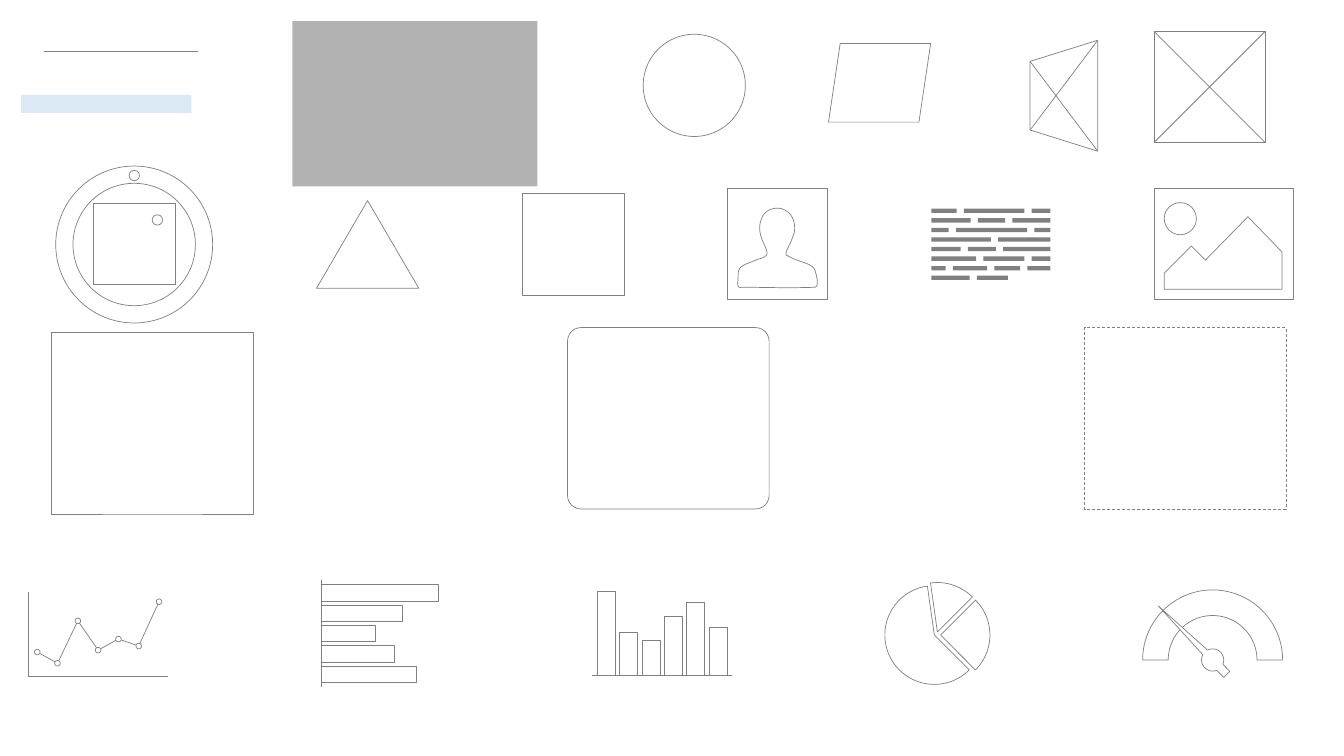
import math
from dataclasses import dataclass

import lxml.etree
import pptx
import pptx.dml.color
import pptx.enum.dml
import pptx.enum.shapes
import pptx.oxml.ns
import pptx.util

Pt = pptx.util.Pt
Kind = pptx.enum.shapes.MSO_SHAPE
qn = pptx.oxml.ns.qn


@dataclass(frozen=True)
class Theme:
    ink: str = "808080"
    paper: str = "FFFFFF"
    tint: str = "5B9BD5"
    line: float = 0.5


THEME = Theme()


# Element helpers
def color(code):
    return pptx.dml.color.RGBColor.from_string(code)


def paint(shape, fill=THEME.paper, line=THEME.ink, alpha=None, dash=False):
    shape.shadow.inherit = False
    if fill:
        shape.fill.solid()
        shape.fill.fore_color.rgb = color(fill)
    else:
        shape.fill.background()
    if alpha:
        tag = shape.element.spPr.find(qn("a:solidFill")).find(qn("a:srgbClr"))
        lxml.etree.SubElement(tag, qn("a:alpha"), val=str(alpha * 1000))
    if line:
        shape.line.color.rgb = color(line)
        shape.line.width = Pt(THEME.line)
    else:
        shape.line.fill.background()
    if dash:
        shape.line.dash_style = pptx.enum.dml.MSO_LINE.DASH


def form(on, kind, left, top, width, height, adj=None, **style):
    shape = on.add_shape(kind, Pt(left), Pt(top), Pt(width), Pt(height))
    if adj is not None:
        shape.adjustments[0] = adj
    paint(shape, **style)


def rule(on, x1, y1, x2, y2):
    line = on.add_connector(pptx.enum.shapes.MSO_CONNECTOR.STRAIGHT,
                            Pt(x1), Pt(y1), Pt(x2), Pt(y2))
    line.line.color.rgb = color(THEME.ink)
    line.line.width = Pt(THEME.line)
    lxml.etree.SubElement(line.element.spPr, qn("a:effectLst"))


def free(on, *paths, close=True, **style):
    pen = None
    for path in paths:
        start, *rest = [(Pt(x), Pt(y)) for x, y in path]
        if pen is None:
            pen = on.build_freeform(*start)
        else:
            pen.move_to(*start)
        pen.add_line_segments(rest, close=close)
    paint(pen.convert_to_shape(), **style)


def arc(x, y, radius, start, end):
    count = math.ceil(abs(end - start) / 3)
    turns = [math.radians(start + (end - start) * i / count) for i in range(count + 1)]
    return [(x + radius * math.cos(t), y + radius * math.sin(t)) for t in turns]


def curve(start, bends, steps=12):
    points = [start]
    for x1, y1, x2, y2, x3, y3 in bends:
        x0, y0 = points[-1]
        for i in range(1, steps + 1):
            t = i / steps
            u = 1 - t
            a, b, c, d = u ** 3, 3 * u * u * t, 3 * u * t * t, t ** 3
            points.append((a * x0 + b * x1 + c * x2 + d * x3,
                           a * y0 + b * y1 + c * y2 + d * y3))
    return points


# Icons
def cross(on, corners):
    free(on, corners)
    for a, b in zip(corners[:2], corners[2:]):
        rule(on, *a, *b)


def photo(on):
    form(on, Kind.RECTANGLE, 824.4, 134.6, 99.4, 79.2)
    free(on, [(831.6, 195.1), (851, 175.7), (861.1, 185.8), (891.4, 154.8),
              (915.8, 180), (915.8, 206.6), (831.6, 206.6)])
    form(on, Kind.OVAL, 831.6, 144.7, 23, 23)


def prose(on):
    left, top, width, step, thick, gap = 665.3, 149, 84.9, 6.84, 3.1, 5.2
    rows = [(18, 66.4), (28.1, 52.6), (12.4, 68.4), (42.5,), (20.9, 46.1),
            (31.9, 66.4), (10.2, 39.8, 63.4), (27.4,)]
    for i, cuts in enumerate(rows):
        end = 54.7 if i == len(rows) - 1 else width
        y = top + i * step
        spans = zip([0] + [cut + gap for cut in cuts], [*cuts, end])
        free(on, *[[(left + a, y), (left + a, y + thick),
                    (left + b, y + thick), (left + b, y)] for a, b in spans],
             fill=THEME.ink, line=None)


def person(on):
    form(on, Kind.RECTANGLE, 519.8, 134.6, 71.3, 79.2)
    free(on, curve((581.8, 192.2), [
        (579.6, 188.6, 574.6, 187.9, 569.5, 185.8),
        (566.6, 185, 564.5, 183.6, 561.6, 182.2),
        (560.9, 179.3, 563.8, 176.4, 566.6, 168.5),
        (568.8, 163.4, 568.1, 153.4, 560.2, 149.8),
        (554.4, 146.9, 546.5, 149.8, 544.3, 155.5),
        (539.3, 166.3, 547.2, 175, 547.9, 180),
        (548.6, 184.3, 542.9, 184.3, 540, 185.8),
        (536.4, 187.2, 532.1, 188.6, 529.2, 190.8),
        (526.3, 193.7, 527.8, 197.3, 527, 201.6),
        (527, 203.8, 527, 205.9, 529.9, 205.2),
        (547.2, 205.2, 562.3, 205.9, 581.8, 205.2),
        (586.1, 205.2, 582.5, 193.7, 581.8, 192.2)]))


def dial(on):
    form(on, Kind.DONUT, 39.8, 118.6, 112.1, 112.1, adj=0.11)
    form(on, Kind.RECTANGLE, 67, 145.4, 58.3, 57.9)
    for x, y in [(92.2, 121.7), (108.7, 153.4)]:
        form(on, Kind.OVAL, x, y, 7.4, 7.4, fill=None)


def bars(on):
    for i, width in enumerate([84.2, 58.3, 38.9, 52.6, 68.4]):
        form(on, Kind.RECTANGLE, 229.3, 417.5 + i * 14.6, width, 11.8)
    rule(on, 229.3, 414, 229.3, 491)


def columns(on):
    base = 482.5
    rule(on, 422.6, base, 522.7, base)
    for i, tall in enumerate([59.8, 30.6, 25.2, 42.5, 52.3, 34.6]):
        form(on, Kind.RECTANGLE, 426.5 + i * 16, base - tall, 12.9, tall)


def gauge(on):
    x, y = 866.2, 471.4
    free(on, arc(x, y, 50, 180, 360) + arc(x, y, 31.7, 360, 180))
    free(on, [(827.3, 432.7)] + arc(x, y, 7.9, 208, 69)
         + [(874.1, 483.8), (878.4, 479.5)] + arc(x, y, 7.9, 23, -117))


def trend(on):
    free(on, [(120.2, 483.1), (20.2, 483.1), (20.2, 422.6)], close=False, fill=None)
    tops = [465.8, 473.8, 443.5, 464.4, 456.5, 461.5, 429.8]
    points = [(26.6 + i * 14.5, y) for i, y in enumerate(tops)]
    free(on, points, close=False, fill=None)
    for x, y in points:
        form(on, Kind.OVAL, x - 2, y - 2, 4, 4)


def pie(on):
    for x, y, start, end in [(671.8, 453.6, -45, 45), (669.6, 451.4, -98, -45),
                             (667.4, 453.6, 45, 262)]:
        free(on, [(x, y)] + arc(x, y, 35.3, start, end))


def main():
    deck = pptx.Presentation()
    deck.slide_width, deck.slide_height = Pt(960), Pt(540)
    page = deck.slides.add_slide(deck.slide_layouts[6]).shapes

    # Basic shapes
    rule(page, 31.7, 36.7, 141.1, 36.7)
    form(page, Kind.RECTANGLE, 208.8, 15.1, 175, 118.1, fill=THEME.ink, line=None, alpha=60)
    form(page, Kind.RECTANGLE, 15.1, 67.7, 121.7, 13, fill=THEME.tint, line=None, alpha=22)
    form(page, Kind.OVAL, 459.4, 24.5, 73, 73, fill=None)
    form(page, Kind.PARALLELOGRAM, 591.8, 31, 73, 56.2, adj=0.149, fill=None)
    form(page, Kind.RECTANGLE, 373, 138.2, 73, 73, fill=None)
    form(page, Kind.ISOSCELES_TRIANGLE, 226.1, 143.3, 73, 62.6, fill=None)

    # Panels
    form(page, Kind.RECTANGLE, 36.7, 237.6, 144, 129.6)
    form(page, Kind.ROUNDED_RECTANGLE, 405.4, 234, 144, 129.6, adj=0.075)
    form(page, Kind.RECTANGLE, 774.7, 234, 144, 129.6, dash=True)

    # Crossed frames
    for corners in [
            [(735.8, 43.9), (784.1, 28.8), (784.1, 108), (735.8, 92.9)],
            [(824.4, 22.5), (903.6, 22.5), (903.6, 101.7), (824.4, 101.7)]]:
        cross(page.add_group_shape().shapes, corners)

    # Grouped icons
    for draw in [photo, prose, person, dial, bars, columns, gauge, trend, pie]:
        draw(page.add_group_shape().shapes)

    deck.save("out.pptx")


if __name__ == "__main__":
    main()
